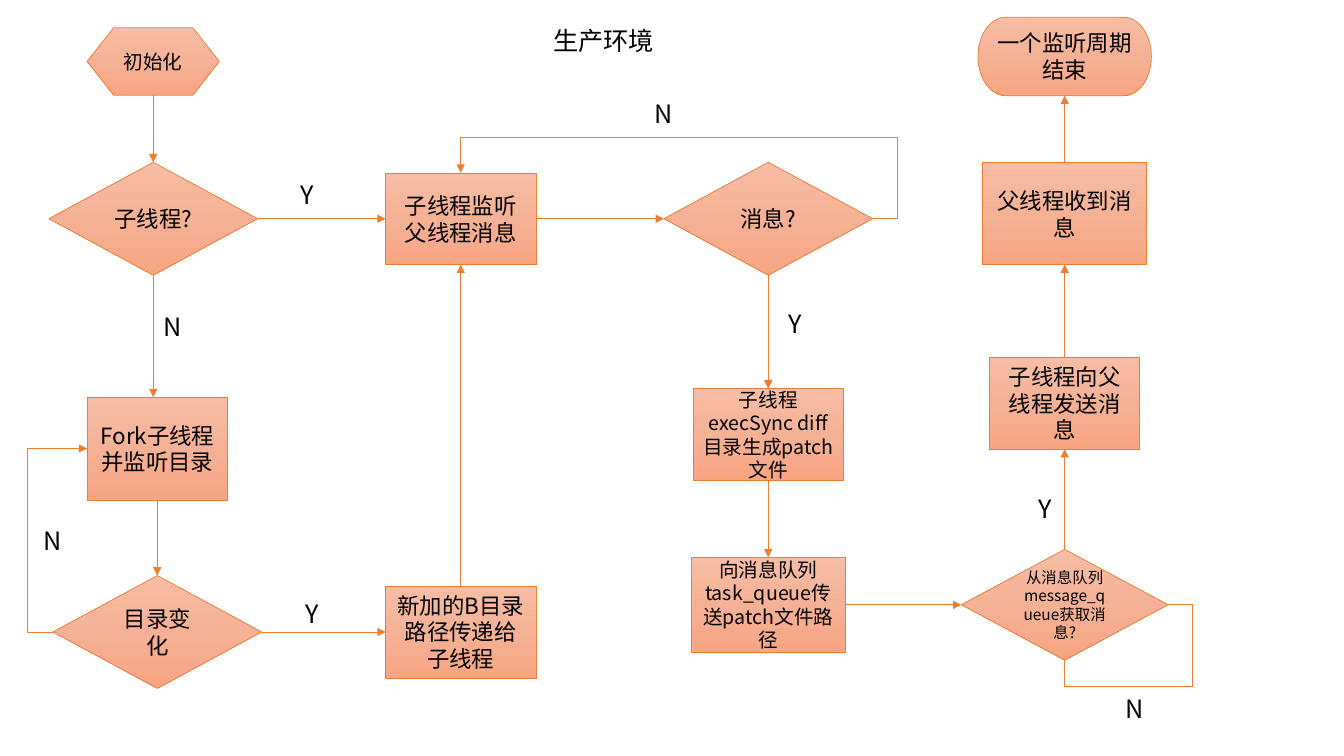
from copy import deepcopy
from dataclasses import dataclass
from lxml.etree import SubElement
from pptx import Presentation
from pptx.dml.color import RGBColor
from pptx.enum.shapes import MSO_CONNECTOR, MSO_SHAPE
from pptx.enum.text import MSO_ANCHOR, MSO_AUTO_SIZE, PP_ALIGN
from pptx.oxml.ns import qn
from pptx.util import Inches, Pt


@dataclass(frozen=True)
class Theme:
    font: str = "Noto Sans CJK SC"
    ink: RGBColor = RGBColor(0, 0, 0)
    outline: RGBColor = RGBColor.from_string("ED7D31")
    gradient: tuple = ((0, "F7BDA5"), (0.5, "F5B196"), (1, "F8A582"))
    line_width: int = Pt(0.5)
    heading: int = Pt(18)
    body: int = Pt(16)
    small: int = Pt(14)
    tiny: int = Pt(11)


theme = Theme()


def write_text(box, text, size, anchor):
    frame = box.text_frame
    for name, value in {"word_wrap": True, "vertical_anchor": anchor}.items():
        setattr(frame, name, value)
    para = frame.paragraphs[0]
    para.alignment = PP_ALIGN.CENTER
    span = para.add_run()
    span.text = text
    for name, value in {"name": theme.font, "size": size, "bold": False}.items():
        setattr(span.font, name, value)
    span.font.color.rgb = theme.ink
    SubElement(span.font._element, qn("a:ea"), typeface=theme.font)


def style_line(connector, arrow=True):
    connector.line.color.rgb = theme.outline
    connector.line.width = theme.line_width
    properties = connector._element.spPr
    if arrow:
        SubElement(properties.find(qn("a:ln")), qn("a:tailEnd"), type="triangle")
    SubElement(properties, qn("a:effectLst"))


# Deck and page
deck = Presentation()
deck.slide_width, deck.slide_height = Inches(13.33), Inches(7.5)
page = deck.slides.add_slide(deck.slide_layouts[5])

# Title
title = page.shapes.title
placement = {"left": 4.95, "top": 0.2, "width": 2.07, "height": 0.4}
for name, value in placement.items():
    setattr(title, name, Inches(value))
write_text(title, "生产环境", theme.heading, MSO_ANCHOR.TOP)
title.text_frame.auto_size = MSO_AUTO_SIZE.NONE

# Grid: centre lines of the columns and the main rows
columns = {"start": 1.52, "watch": 1.56, "child": 4.57, "message": 7.62, "parent": 10.56}
rows = {"check": 2.17, "watch": 4.45, "queue": 6, "change": 6.27}
box_size, diamond_size = (1.49, 0.91), (2.07, 1.12)
process, decision = MSO_SHAPE.FLOWCHART_PROCESS, MSO_SHAPE.FLOWCHART_DECISION

# Steps: name, preset, column, centre row, size, text, type size
steps = [
    ("initialise", MSO_SHAPE.FLOWCHART_PREPARATION, "start", 0.61, (1.31, 0.67),
     "初始化", theme.small),
    ("is_child", decision, "start", rows["check"], diamond_size, "子线程?", theme.body),
    ("fork", process, "watch", rows["watch"], (1.39, 1.02),
     "Fork子线程并监听目录", theme.body),
    ("changed", decision, "watch", rows["change"], diamond_size, "目录变化", theme.body),
    ("listen", process, "child", rows["check"], box_size,
     "子线程监听父线程消息", theme.body),
    ("pass_path", process, "child", rows["change"], box_size,
     "新加的B目录路径传递给子线程", theme.body),
    ("has_message", decision, "message", rows["check"], diamond_size,
     "消息?", theme.body),
    ("make_patch", process, "message", 4.31, box_size,
     "子线程execSync diff目录生成patch文件", theme.small),
    ("send_patch", process, "message", rows["queue"], (1.52, 0.94),
     "向消息队列task_queue传送patch文件路径", theme.small),
    ("fetch", decision, "parent", rows["queue"], (2.05, 1.1),
     "从消息队列message_queue获取消息?", theme.tiny),
    ("notify", process, "parent", 4, box_size, "子线程向父线程发送消息", theme.body),
    ("receive", process, "parent", 2.12, (1.63, 1.01), "父线程收到消息", theme.body),
    ("finish", MSO_SHAPE.FLOWCHART_TERMINATOR, "parent", 0.56, (1.72, 0.78),
     "一个监听周期结束", theme.body),
]
flow = {}
for name, preset, column, middle, (width, height), text, size in steps:
    box = page.shapes.add_shape(
        preset, Inches(columns[column] - width / 2), Inches(middle - height / 2),
        Inches(width), Inches(height))
    box.shadow.inherit = False
    box.fill.gradient()
    box.fill.gradient_angle = 270
    stops = next(box._element.iter(qn("a:gsLst")))
    stops.insert(1, deepcopy(stops[0]))
    for stop, (position, colour) in zip(box.fill.gradient_stops, theme.gradient):
        stop.position = position
        stop.color.rgb = RGBColor.from_string(colour)
    box.line.color.rgb = theme.outline
    box.line.width = theme.line_width
    write_text(box, text, size, MSO_ANCHOR.MIDDLE)
    flow[name] = box

# Straight arrows between connection sites
top, left, bottom, right = range(4)
arrows = [
    ("initialise", bottom, "is_child", top),
    ("is_child", right, "listen", left),
    ("fork", bottom, "changed", top),
    ("changed", right, "pass_path", left),
    ("pass_path", top, "listen", bottom),
    ("listen", right, "has_message", left),
    ("has_message", bottom, "make_patch", top),
    ("make_patch", bottom, "send_patch", top),
    ("send_patch", right, "fetch", left),
    ("fetch", top, "notify", bottom),
    ("notify", top, "receive", bottom),
    ("receive", top, "finish", bottom),
]
for source, source_site, target, target_site in arrows:
    arrow = page.shapes.add_connector(MSO_CONNECTOR.STRAIGHT, 0, 0, 0, 0)
    arrow.begin_connect(flow[source], source_site)
    arrow.end_connect(flow[target], target_site)
    style_line(arrow)

# The fork box sits off the start column, so this arrow drops straight onto its edge
drop = page.shapes.add_connector(
    MSO_CONNECTOR.STRAIGHT, Inches(columns["start"]), 0,
    Inches(columns["start"]), flow["fork"].top)
drop.begin_connect(flow["is_child"], bottom)
style_line(drop)

# Loops back: the turning column, and the turning row where there is one
loops = [
    ("changed", left, "fork", left, (0.27,), True),
    ("has_message", right, "listen", top, (8.9, 1.36), True),
    ("fetch", right, "fetch", bottom, (11.83, 6.81), False),
]
for source, source_site, target, target_site, turns, arrow in loops:
    loop = page.shapes.add_connector(MSO_CONNECTOR.ELBOW, 0, 0, 0, 0)
    loop.begin_connect(flow[source], source_site)
    loop.end_connect(flow[target], target_site)
    geometry = loop._element.spPr.find(qn("a:prstGeom"))
    geometry.set("prst", f"bentConnector{len(turns) + 2}")
    guides = geometry.find(qn("a:avLst"))
    spans = ((loop.begin_x, loop.end_x), (loop.begin_y, loop.end_y))
    for number, (turn, (begin, end)) in enumerate(zip(turns, spans), 1):
        share = round((Inches(turn) - begin) / (end - begin) * 100000)
        SubElement(guides, qn("a:gd"), name=f"adj{number}", fmla=f"val {share}")
    style_line(loop, arrow)

# Branch labels: text, centre column, centre row
labels = [
    ("Y", 3.05, 1.93), ("N", 1.71, 3.24), ("N", 0.52, 5.36), ("Y", 3.1, 6.09),
    ("N", 6.58, 1.13), ("Y", 7.89, 3.21), ("Y", 10.37, 5.04), ("N", 11.25, 7.03),
]
label_width, label_height = 0.83, 0.4
for text, centre, middle in labels:
    label = page.shapes.add_textbox(
        Inches(centre - label_width / 2), Inches(middle - label_height / 2),
        Inches(label_width), Inches(label_height))
    write_text(label, text, theme.heading, MSO_ANCHOR.TOP)
    label.text_frame.auto_size = MSO_AUTO_SIZE.SHAPE_TO_FIT_TEXT

deck.save("out.pptx")
